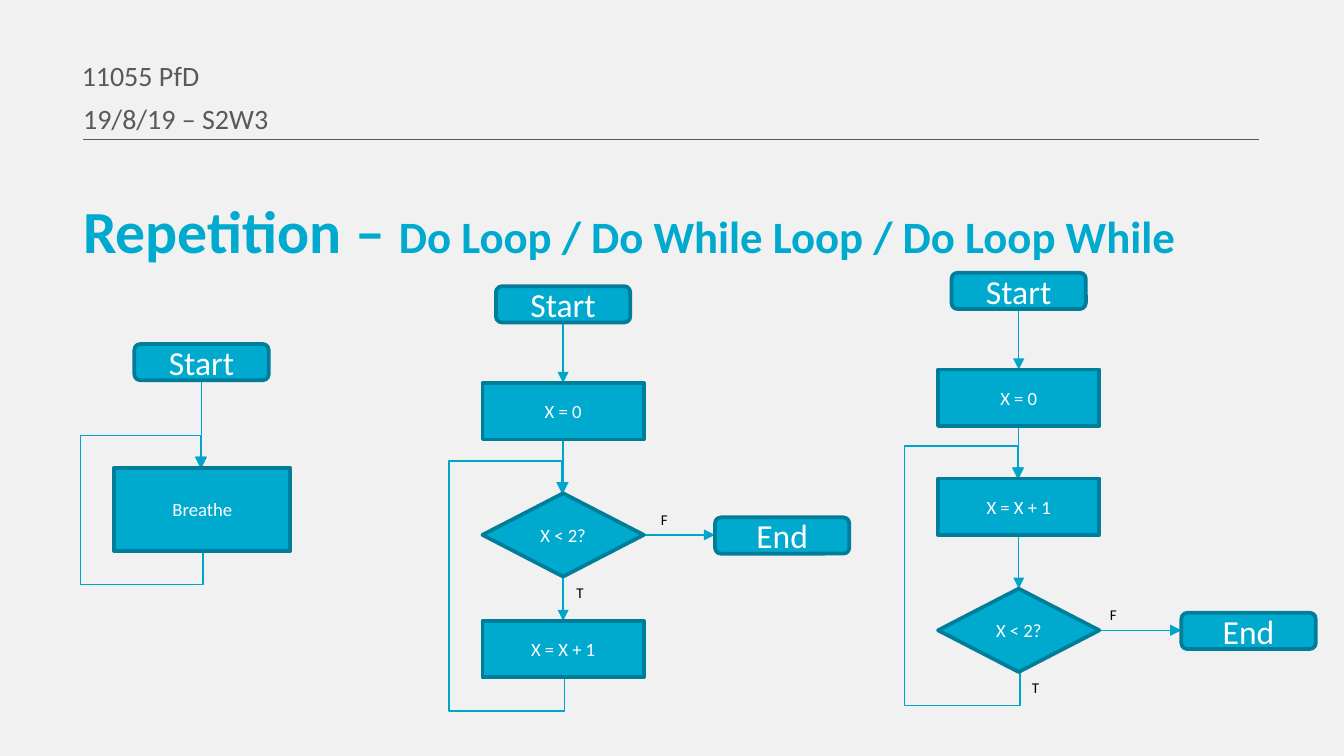
"""Builds a slide with three flowcharts that compare repetition loops."""
from lxml import etree
from pptx import Presentation, util as u
from pptx.dml.color import RGBColor
from pptx.enum import shapes, text
from pptx.oxml.ns import qn

PX = u.Inches(1) // 100
COLOURS = {"bg": "F1F1F1", "grey": "58595B", "cyan": "00A9CE", "edge": "007D98",
           "arrow": "00A5C9", "white": "FFFFFF", "black": "000000"}
RGB = {name: RGBColor.from_string(value) for name, value in COLOURS.items()}
KINDS = shapes.MSO_SHAPE
SIZES = {KINDS.ROUNDED_RECTANGLE: (100, 27), KINDS.RECTANGLE: (120, 42),
         KINDS.DIAMOND: (120, 62)}
TERMINAL, PROCESS, DECISION = SIZES


def write(sp, *runs, colour="white", bold=False, align=text.PP_ALIGN.LEFT,
          anchor=text.MSO_ANCHOR.TOP, spacing=None):
    tf = sp.text_frame
    tf.word_wrap = True
    tf.vertical_anchor = anchor
    p = tf.paragraphs[0]
    p.alignment = align
    p.line_spacing = spacing
    for words, size in runs:
        r = p.add_run()
        r.text = words
        r.font.name = "Calibri"
        r.font.size = u.Pt(size)
        r.font.bold = bold
        r.font.color.rgb = RGB[colour]


def draw_line(points, colour="arrow", head=True):
    if len(points) == 2:
        ends = [v * PX for point in points for v in point]
        sp = s.shapes.add_connector(shapes.MSO_CONNECTOR.STRAIGHT, *ends)
    else:
        outline = s.shapes.build_freeform(*points[0], scale=PX)
        outline.add_line_segments(points[1:], close=False)
        sp = outline.convert_to_shape()
        sp.fill.background()
    sp.line.color.rgb = RGB[colour]
    sp.line.width = u.Pt(0.75)
    if head:
        ln = sp.element.spPr.get_or_add_ln()
        etree.SubElement(ln, qn("a:tailEnd"), type="triangle")
    etree.SubElement(sp.element.spPr, qn("a:effectLst"))


prs = Presentation()
prs.slide_width = 1000 * PX
prs.slide_height = prs.slide_width * 9 // 16
s = prs.slides.add_slide(prs.slide_layouts[6])
s.background.fill.solid()
s.background.fill.fore_color.rgb = RGB["bg"]

draw_line([(937, 104), (62, 104)], colour="grey", head=False)
for words, left, top in (("11055 PfD", 51, 39), ("19/8/19 – S2W3", 52, 71)):
    sp = s.shapes.add_textbox(left * PX, top * PX, 698 * PX, 24 * PX)
    write(sp, (words, 15), colour="grey")
sp = s.shapes.add_textbox(52 * PX, 154 * PX, 886 * PX, 42 * PX)
write(sp, ("Repetition – ", 32), ("Do Loop / Do While Loop / Do Loop While", 24),
      colour="cyan", bold=True, spacing=0.7)

charts = [
    {"centre": 150, "loop_left": 60, "loop_to": 1, "nodes": [
        (TERMINAL, "Start", 256), (PROCESS, "Breathe", 348)]},
    {"centre": 419, "loop_left": 334, "loop_to": 2, "end_left": 532, "false_left": 482,
     "nodes": [(TERMINAL, "Start", 213), (PROCESS, "X = 0", 285),
               (DECISION, "X < 2?", 367), (PROCESS, "X = X + 1", 462)]},
    {"centre": 758, "loop_left": 673, "loop_to": 2, "end_left": 879, "false_left": 816,
     "nodes": [(TERMINAL, "Start", 203), (PROCESS, "X = 0", 275),
               (PROCESS, "X = X + 1", 356), (DECISION, "X < 2?", 438)]},
]

for chart in charts:
    centre = chart["centre"]
    boxes, bottom = [], None
    for kind, words, top in chart["nodes"]:
        width, height = (131, 62) if words == "Breathe" else SIZES[kind]
        boxes.append((kind, words, centre - width // 2, top, width, height))
        if bottom:
            draw_line([(centre, bottom), (centre, top)])
        bottom = top + height
        if kind == DECISION:
            end_left, middle = chart["end_left"], top + height // 2
            boxes.append((TERMINAL, "End", end_left, top + 18, *SIZES[TERMINAL]))
            draw_line([(centre + 60, middle), (end_left, middle)])
            labels = (("T", centre, bottom), ("F", chart["false_left"], top + 8))
            for label, x, y in labels:
                sp = s.shapes.add_textbox(x * PX, y * PX, 34 * PX, 24 * PX)
                write(sp, (label, 8), colour="black")

    target, left = chart["nodes"][chart["loop_to"]][2], chart["loop_left"]
    draw_line([(centre + 1, bottom), (centre + 1, bottom + 25), (left, bottom + 25),
               (left, target - 24), (centre - 1, target - 24), (centre - 1, target)])

    for kind, words, *frame in boxes:
        sp = s.shapes.add_shape(kind, *(v * PX for v in frame))
        sp.shadow.inherit = False
        sp.fill.solid()
        sp.fill.fore_color.rgb = RGB["cyan"]
        sp.line.color.rgb = RGB["edge"]
        sp.line.width = u.Pt(2)
        write(sp, (words, 18 if kind == TERMINAL else 10),
              align=text.PP_ALIGN.CENTER, anchor=text.MSO_ANCHOR.MIDDLE)

prs.save("out.pptx")
